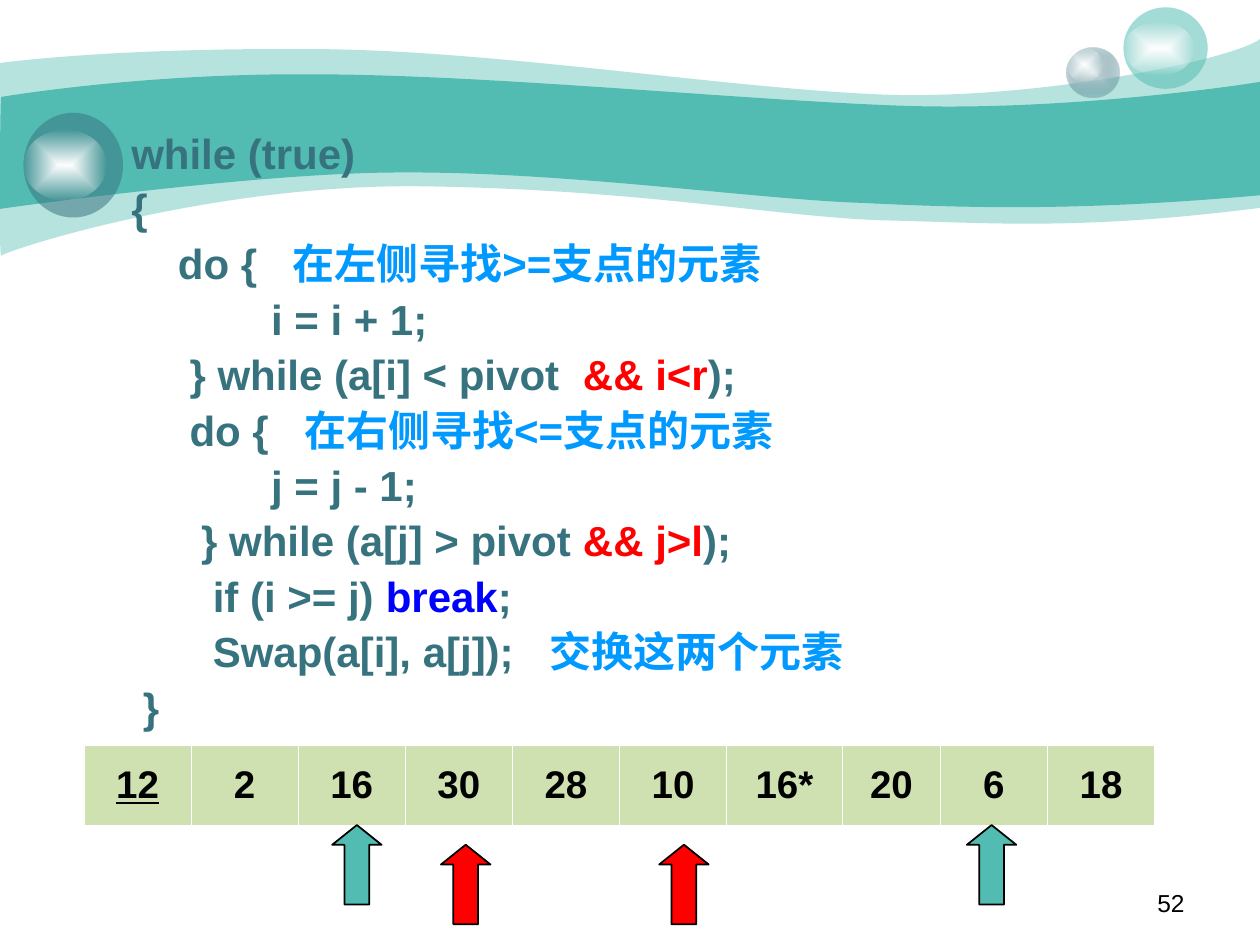
import pptx
import pptx.dml.color
import pptx.enum.shapes
import pptx.enum.text
import pptx.oxml
import pptx.oxml.ns
import pptx.util
from lxml import etree

Pt = pptx.util.Pt
RGBColor = pptx.dml.color.RGBColor
qn = pptx.oxml.ns.qn
MSO_SHAPE = pptx.enum.shapes.MSO_SHAPE
PP_ALIGN = pptx.enum.text.PP_ALIGN

TEAL = RGBColor(0x52, 0xBC, 0xB2)
SLATE = RGBColor(0x37, 0x73, 0x7F)
PALE_SLATE = RGBColor(0xCC, 0xDB, 0xDE)
SKY = RGBColor(0x00, 0x99, 0xFF)
BLUE = RGBColor(0x00, 0x00, 0xFF)
RED = RGBColor(0xFF, 0x00, 0x00)
GREEN = RGBColor(0xA0, 0xC2, 0x64)
BLACK = RGBColor(0x00, 0x00, 0x00)
WHITE = RGBColor(0xFF, 0xFF, 0xFF)


def set_opacity(element, percent):
    color = list(element.iter(qn("a:srgbClr")))[-1]
    etree.SubElement(color, qn("a:alpha")).set("val", str(percent * 1000))


def format_font(font, size, color, bold=False):
    font.name = "Arial"
    font.size = Pt(size)
    font.bold = bold
    font.color.rgb = color


presentation = pptx.Presentation()
presentation.slide_width = Pt(720)
presentation.slide_height = Pt(540)
slide = presentation.slides.add_slide(presentation.slide_layouts[6])
shapes = slide.shapes

waves = [
    (41, (0, 36), [
        [(17.3, 33.8), (77, 27.4), (177.8, 28.1)],
        [(277.9, 28.1), (414, 50.4), (503.3, 54)],
        [(591.8, 57.6), (705.6, 33.8), (720, 22.3)],
        [(720, 118.8)],
        [(617.8, 131.8), (566.6, 127.4), (507.6, 126)],
        [(447.8, 124.6), (370.8, 108.7), (247, 106.6)],
        [(123.8, 103.7), (2.9, 143.3), (0.7, 146.2)],
        [(-0.7, 149.8), (0, 54), (0, 36)],
    ]),
    (100, (0.7, 55.4), [
        [(1.4, 55.4), (79.2, 41.8), (178.6, 42.5)],
        [(277.9, 42.5), (428.4, 57.6), (517, 60.5)],
        [(605.5, 63.4), (702.7, 49.7), (720, 46.8)],
        [(720, 111.6)],
        [(614.2, 121), (550.8, 118.8), (491, 115.9)],
        [(431.3, 113.8), (321.8, 97.9), (228.2, 98.6)],
        [(146.2, 98.6), (-1.4, 119.5), (-0.7, 119.5)],
        [(0, 119.5), (0, 55.4), (0.7, 55.4)],
    ]),
]
for opacity, start, segments in waves:
    builder = shapes.build_freeform(Pt(start[0]), Pt(start[1]))
    points = [(Pt(x), Pt(y)) for segment in segments for x, y in segment]
    builder.add_line_segments(points, close=True)
    wave = builder.convert_to_shape()
    lines = iter(list(wave._element.iter(qn("a:lnTo"))))
    for segment in segments:
        first_line = next(lines)
        if len(segment) == 3:
            first_line.addprevious(curve := etree.Element(qn("a:cubicBezTo")))
            for line in (first_line, next(lines), next(lines)):
                curve.append(line[0])
                line.getparent().remove(line)
    wave.shadow.inherit = False
    wave.fill.solid()
    wave.fill.fore_color.rgb = TEAL
    if opacity < 100:
        set_opacity(wave.fill._xPr, opacity)
    wave.line.fill.background()

orbs = [
    (609.5, 27.2, 30.2, 28.8, PALE_SLATE, SLATE, 31),
    (609.5, 27.2, 20.2, 19.4, WHITE, WHITE, 0),
    (642, 4.2, 48.2, 46.6, None, TEAL, 53),
    (642, 12.2, 40.3, 31, WHITE, WHITE, 0),
    (13.4, 64.5, 56.9, 59.8, None, SLATE, 53),
    (13.4, 74.2, 47.5, 40.3, WHITE, WHITE, 0),
]
for left, top, width, height, center_color, edge_color, opacity in orbs:
    orb = shapes.add_shape(MSO_SHAPE.OVAL, Pt(left), Pt(top), Pt(width), Pt(height))
    orb.shadow.inherit = False
    orb.line.fill.background()
    if center_color is None:
        orb.fill.solid()
        orb.fill.fore_color.rgb = edge_color
        set_opacity(orb.fill._xPr.find(qn("a:solidFill")), opacity)
        continue
    orb.fill.gradient()
    for stop, color, position in zip(orb.fill.gradient_stops, (center_color, edge_color), (0, 1)):
        stop.color.rgb = color
        stop.position = position
    gradient = orb.fill._xPr.find(qn("a:gradFill"))
    set_opacity(gradient, opacity)
    gradient.remove(gradient.find(qn("a:lin")))
    gradient_shape = etree.SubElement(gradient, qn("a:path"), {"path": "rect"})
    etree.SubElement(gradient_shape, qn("a:fillToRect"), dict.fromkeys("ltrb", "50000"))

number_box = shapes.add_textbox(Pt(516), Pt(504), Pt(168), Pt(25))
number_box.text_frame.word_wrap = True
number_box.text_frame.text = "52"
number_paragraph = number_box.text_frame.paragraphs[0]
number_paragraph.alignment = PP_ALIGN.RIGHT
format_font(number_paragraph.runs[0].font, 14, BLACK)

code_lines = [
    [("   while (true)", SLATE)],
    [("   {", SLATE)],
    [("       do {   ", SLATE), ("在左侧寻找>=支点的元素", SKY)],
    [("               i = i + 1;", SLATE)],
    [("        } while (a[i] < pivot  ", SLATE), ("&& i<r", RED), (");", SLATE)],
    [("        do {   ", SLATE), ("在右侧寻找<=支点的元素", SKY)],
    [("               j = j - 1;", SLATE)],
    [("         } while (a[j] > pivot ", SLATE), ("&& j>l", RED), (");", SLATE)],
    [("          if (i >= j) ", SLATE), ("break", BLUE), (";", SLATE)],
    [("          Swap(a[i], a[j]);   ", SLATE), ("交换这两个元素", SKY)],
    [("    }", SLATE)],
]
code_box = shapes.add_textbox(Pt(48), Pt(66.2), Pt(635), Pt(356))
code_frame = code_box.text_frame
code_frame.word_wrap = True
code_frame.text = "\n".join(line[0][0] for line in code_lines)
for paragraph, line in zip(code_frame.paragraphs, code_lines):
    paragraph.line_spacing = 1.1
    for text, color in line[1:]:
        paragraph.add_run().text = text
    for run, (text, color) in zip(paragraph.runs, line):
        format_font(run.font, 24, color, bold=True)

values = ["12", "2", "16", "30", "28", "10", "16*", "20", "6", "18"]
column_widths = [61.2] * 6 + [66.2, 56] + [61.2] * 2
table = shapes.add_table(1, len(values), Pt(48), Pt(426), Pt(612), Pt(45.8)).table
table.first_row = False
table.horz_banding = False
for column, width in zip(table.columns, column_widths):
    column.width = Pt(width)
for index, value in enumerate(values):
    cell = table.cell(0, index)
    cell.text = value
    cell.vertical_anchor = pptx.enum.text.MSO_ANCHOR.MIDDLE
    paragraph = cell.text_frame.paragraphs[0]
    paragraph.alignment = PP_ALIGN.CENTER
    format_font(paragraph.runs[0].font, 22, BLACK, bold=True)
    paragraph.runs[0].font.underline = index == 0
    cell.fill.solid()
    cell.fill.fore_color.rgb = GREEN
    properties = cell._tc.tcPr
    set_opacity(properties, 50)
    for position, side in enumerate(("lnL", "lnR", "lnT", "lnB")):
        border = etree.Element(qn("a:" + side), {"w": str(Pt(0.45))})
        border_fill = etree.SubElement(border, qn("a:solidFill"))
        etree.SubElement(border_fill, qn("a:srgbClr")).set("val", str(WHITE))
        properties.insert(position, border)

arrows = [(189.8, 471.5, TEAL), (552.5, 471.5, TEAL), (252, 482.7, RED), (376.7, 482.7, RED)]
for left, top, color in arrows:
    arrow = shapes.add_shape(MSO_SHAPE.UP_ARROW, Pt(left), Pt(top), Pt(28.3), Pt(45.4))
    arrow.shadow.inherit = False
    arrow.adjustments[0] = 0.5
    arrow.adjustments[1] = 0.4
    arrow.fill.solid()
    arrow.fill.fore_color.rgb = color
    arrow.line.color.rgb = BLACK
    arrow.line.width = Pt(1)

presentation.save("out.pptx")
